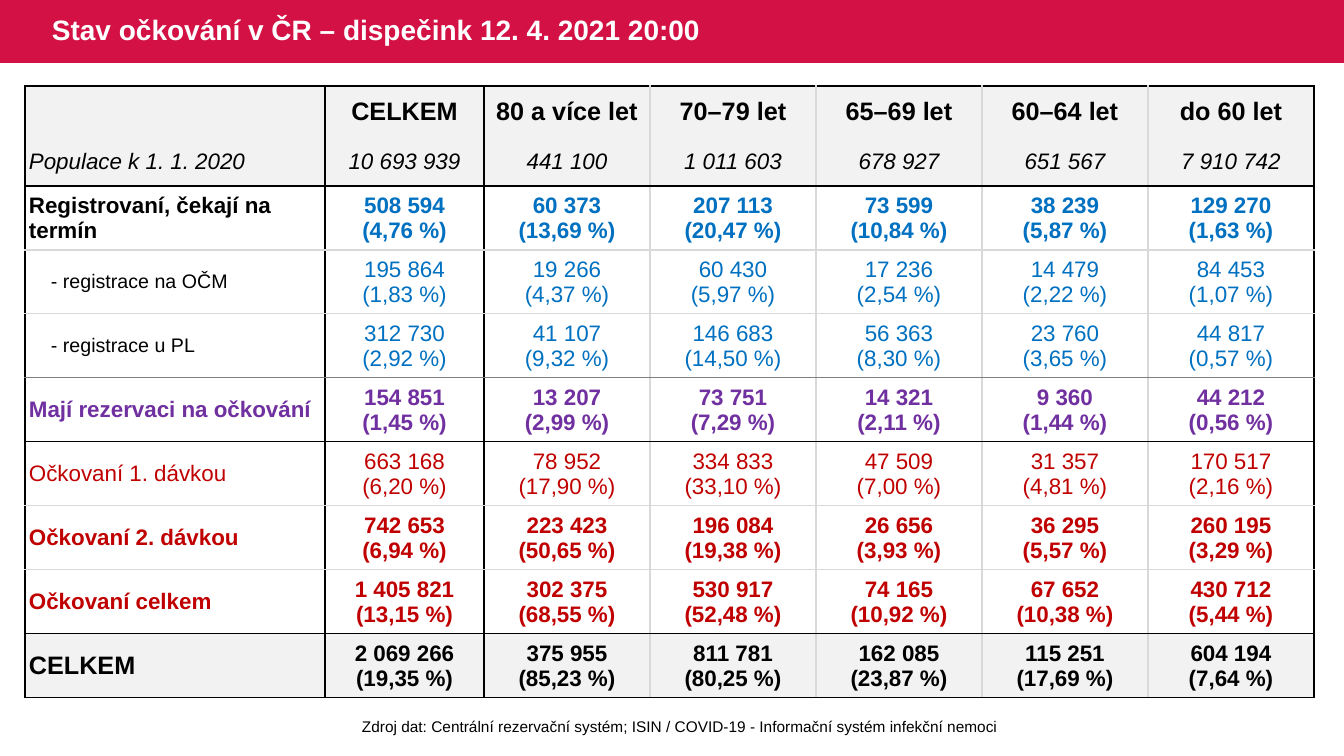
from lxml.etree import SubElement
from pptx import Presentation
from pptx.dml.color import RGBColor
from pptx.enum.shapes import MSO_SHAPE as Shape
from pptx.enum.text import MSO_ANCHOR as Anchor, PP_ALIGN as Align
from pptx.oxml.ns import qn
from pptx.util import Pt

PX = 9072
FONT = "Arial"
COLORS = {
    "banner": "D31145", "white": "FFFFFF", "black": "000000", "shade": "F2F2F2",
    "light": "D9D9D9", "gray": "808080", "blue": "0070C0", "purple": "7030A0", "red": "C00000",
}
COLUMNS = [300, 159] + [166] * 5
ROWS = [51, 49] + [64] * 8
COLUMN_LINES = ["black"] * 3 + ["light"] * 4 + ["black"]
ROW_LINES = ["black", None, "black", "light", "light", "gray",
             "black", "light", "light", "black", "black"]
SHADED_ROWS = {0, 1, 9}
AGES = ["CELKEM", "80 a více let", "70–79 let", "65–69 let", "60–64 let", "do 60 let"]
POPULATION = ["10 693 939", "441 100", "1 011 603", "678 927", "651 567", "7 910 742"]
GROUPS = [
    ("Registrovaní, čekají na termín", 16, "black", "blue", True,
     ["508 594 (4,76 %)", "60 373 (13,69 %)", "207 113 (20,47 %)",
      "73 599 (10,84 %)", "38 239 (5,87 %)", "129 270 (1,63 %)"]),
    ("- registrace na OČM", 14, "black", "blue", False,
     ["195 864 (1,83 %)", "19 266 (4,37 %)", "60 430 (5,97 %)",
      "17 236 (2,54 %)", "14 479 (2,22 %)", "84 453 (1,07 %)"]),
    ("- registrace u PL", 14, "black", "blue", False,
     ["312 730 (2,92 %)", "41 107 (9,32 %)", "146 683 (14,50 %)",
      "56 363 (8,30 %)", "23 760 (3,65 %)", "44 817 (0,57 %)"]),
    ("Mají rezervaci na očkování", 16, "purple", "purple", True,
     ["154 851 (1,45 %)", "13 207 (2,99 %)", "73 751 (7,29 %)",
      "14 321 (2,11 %)", "9 360 (1,44 %)", "44 212 (0,56 %)"]),
    ("Očkovaní 1. dávkou", 16, "red", "red", False,
     ["663 168 (6,20 %)", "78 952 (17,90 %)", "334 833 (33,10 %)",
      "47 509 (7,00 %)", "31 357 (4,81 %)", "170 517 (2,16 %)"]),
    ("Očkovaní 2. dávkou", 16, "red", "red", True,
     ["742 653 (6,94 %)", "223 423 (50,65 %)", "196 084 (19,38 %)",
      "26 656 (3,93 %)", "36 295 (5,57 %)", "260 195 (3,29 %)"]),
    ("Očkovaní celkem", 16, "red", "red", True,
     ["1 405 821 (13,15 %)", "302 375 (68,55 %)", "530 917 (52,48 %)",
      "74 165 (10,92 %)", "67 652 (10,38 %)", "430 712 (5,44 %)"]),
    ("CELKEM", 18, "black", "black", True,
     ["2 069 266 (19,35 %)", "375 955 (85,23 %)", "811 781 (80,25 %)",
      "162 085 (23,87 %)", "115 251 (17,69 %)", "604 194 (7,64 %)"]),
]


def color(name):
    """Return the named colour."""
    return RGBColor.from_string(COLORS[name])


def add_span(para, text, size, ink="black", bold=False, italic=False):
    """Add one styled run to a paragraph."""
    span = para.add_run()
    span.text = text
    span.font.name, span.font.size = FONT, Pt(size)
    span.font.bold, span.font.italic = bold, italic
    span.font.color.rgb = color(ink)


def add_label(page, left, top, width, height, wrap=True):
    """Add a text box and return it with its first paragraph."""
    box = page.shapes.add_textbox(left * PX, top * PX, width * PX, height * PX)
    box.text_frame.word_wrap = wrap
    return box, box.text_frame.paragraphs[0]


def add_banner(page):
    """Draw the red title band."""
    band = page.shapes.add_shape(Shape.RECTANGLE, 0, 0, 1344 * PX, 63 * PX)
    band.shadow.inherit = False
    band.fill.solid()
    band.fill.fore_color.rgb = color("banner")
    band.line.fill.background()
    box, para = add_label(page, 42, 0, 727, 63)
    box.text_frame.vertical_anchor = Anchor.MIDDLE
    para.line_spacing = 0.9
    add_span(para, "Stav očkování v ČR – dispečink 12. 4. 2021 20:00", 20, "white", True)


def set_borders(cell, row, column):
    """Line a cell according to the row and column line rules."""
    edges = {"lnL": COLUMN_LINES[column], "lnR": COLUMN_LINES[column + 1],
             "lnT": ROW_LINES[row], "lnB": ROW_LINES[row + 1]}
    properties = cell._tc.get_or_add_tcPr()
    for tag, name in edges.items():
        line = SubElement(properties, qn(f"a:{tag}"), w=str(Pt(1)))
        if name is None:
            SubElement(line, qn("a:noFill"))
        else:
            fill = SubElement(line, qn("a:solidFill"))
            SubElement(fill, qn("a:srgbClr"), val=COLORS[name])


def format_cell(cell, row, column):
    """Set margins, borders and fill of a cell."""
    wide = row == 0 or column == 0
    cell.vertical_anchor = Anchor.MIDDLE
    cell.margin_left = cell.margin_right = (4 if wide else 1) * PX
    cell.margin_top = (0 if wide else 1) * PX
    cell.margin_bottom = 0
    set_borders(cell, row, column)
    if row in SHADED_ROWS:
        cell.fill.solid()
        cell.fill.fore_color.rgb = color("shade")
    else:
        cell.fill.background()


def fill_label(cell, text, size, **style):
    """Write a row label, indenting the sub-items."""
    if text.startswith("-"):
        cell.margin_left = 26 * PX
    add_span(cell.text_frame.paragraphs[0], text, size, **style)


def fill_values(table, row, values, size, **style):
    """Write the centred values of a row, with the share on a second line."""
    for column, value in enumerate(values, 1):
        para = table.cell(row, column).text_frame.paragraphs[0]
        para.alignment = Align.CENTER
        count, bracket, share = value.partition(" (")
        add_span(para, count, size, **style)
        if bracket:
            para.add_line_break()
            add_span(para, f"({share}", size, **style)


def add_vaccination_table(page):
    """Build the table of vaccination counts by age."""
    frame = page.shapes.add_table(len(ROWS), len(COLUMNS), 25 * PX, 86 * PX,
                                  sum(COLUMNS) * PX, sum(ROWS) * PX)
    table = frame.table
    table.first_row = table.horz_banding = False
    for column, width in enumerate(COLUMNS):
        table.columns[column].width = width * PX
    for row, height in enumerate(ROWS):
        table.rows[row].height = height * PX
        for column in range(len(COLUMNS)):
            format_cell(table.cell(row, column), row, column)
    fill_values(table, 0, AGES, 18, bold=True)
    fill_label(table.cell(1, 0), "Populace k 1. 1. 2020", 16, italic=True)
    fill_values(table, 1, POPULATION, 16, italic=True)
    for row, (label, size, label_ink, ink, bold, values) in enumerate(GROUPS, 2):
        fill_label(table.cell(row, 0), label, size, ink=label_ink, bold=bold)
        fill_values(table, row, values, 16, ink=ink, bold=bold)


def main():
    """Build and save the slide."""
    deck = Presentation()
    deck.slide_width, deck.slide_height = 1344 * PX, 756 * PX
    page = deck.slides.add_slide(deck.slide_layouts[6])
    add_banner(page)
    add_vaccination_table(page)
    source = add_label(page, 352, 712, 659, 29, wrap=False)[1]
    add_span(source, "Zdroj dat: Centrální rezervační systém; ISIN / COVID-19 - "
                     "Informační systém infekční nemoci", 11)
    deck.save("out.pptx")


if __name__ == "__main__":
    main()
